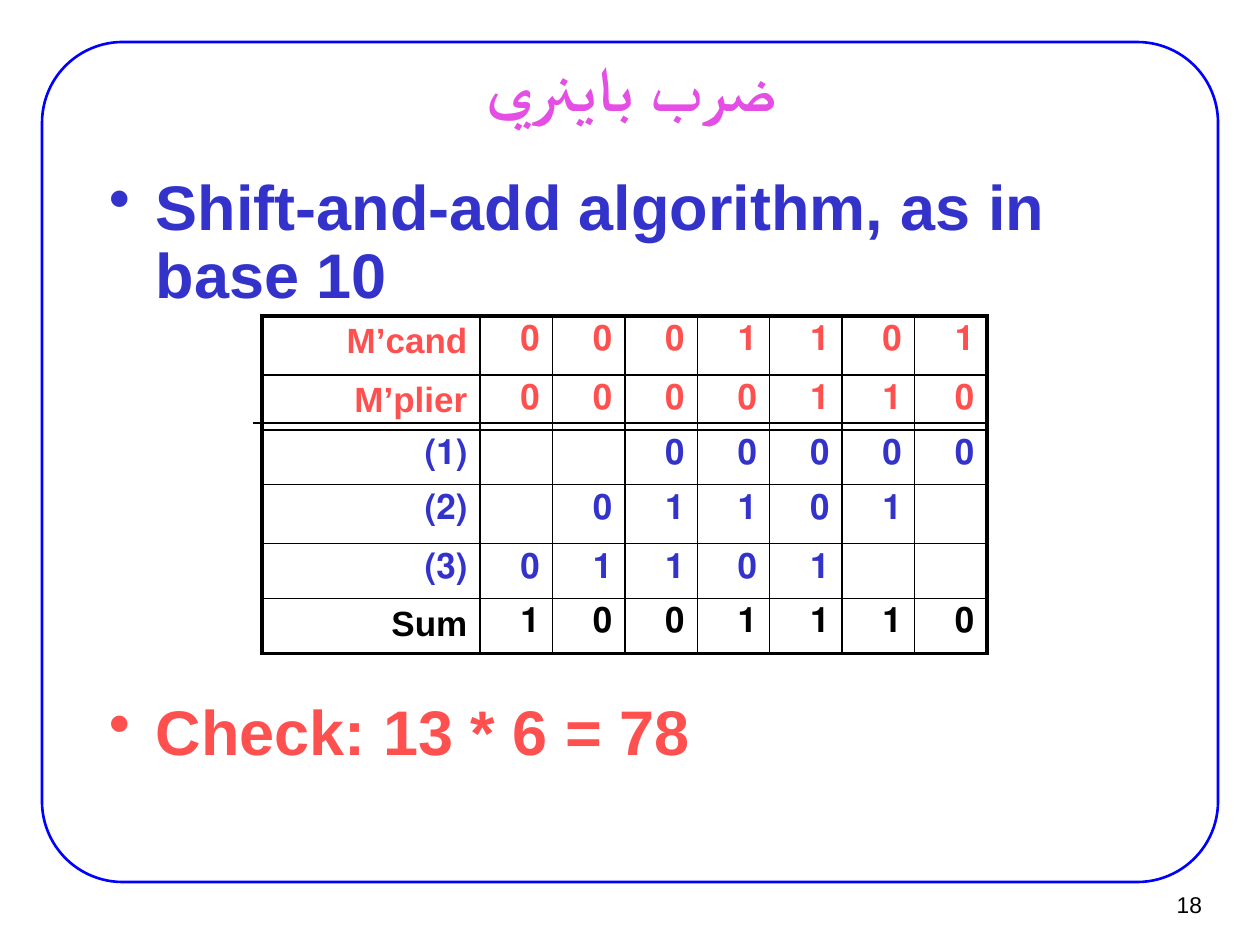
import dataclasses
import pptx
import pptx.dml.color
import pptx.enum.shapes
import pptx.enum.text
import pptx.oxml.ns
import pptx.util
import lxml.etree

SCALE = 914400 / 126
COLORS = {"frame": "0000FF", "title": "E44EE4", "blue": "3333CC",
          "red": "FF5050", "black": "000000"}
ALIGN = pptx.enum.text.PP_ALIGN
ANCHOR = pptx.enum.text.MSO_ANCHOR


@dataclasses.dataclass
class Label:
    text: str
    box: tuple[int, int, int, int]
    size: int
    color: str
    align: ALIGN = ALIGN.LEFT
    anchor: ANCHOR = ANCHOR.TOP
    bold: bool = True
    bullet: bool = False
    wrap: bool = True
    inset: tuple[int, int] = (14, 8)


@dataclasses.dataclass
class Row:
    name: str
    bits: str
    color: str
    height: int


LABELS = [
    Label("18", (1137, 881, 77, 47), 13, "black", ALIGN.RIGHT, ANCHOR.MIDDLE,
          bold=False, wrap=False, inset=(12, 6)),
    Label("ضرب باينري", (96, 55, 1071, 62), 36, "title", ALIGN.CENTER,
          ANCHOR.MIDDLE),
    Label("Shift-and-add algorithm, as in base 10", (95, 168, 1071, 150), 36,
          "blue", bullet=True),
    Label("Check: 13 * 6 = 78", (95, 693, 1071, 82), 36, "red", bullet=True),
]
ROWS = [
    Row("M’cand", "0001101", "red", 59),
    Row("M’plier", "0000110", "red", 55),
    Row("(1)", "  00000", "blue", 54),
    Row("(2)", " 01101 ", "blue", 59),
    Row("(3)", "01101  ", "blue", 55),
    Row("Sum", "1001110", "black", 54),
]
BITS = 7
NAME_W, BIT_W = 218, 507


def px(n: int) -> int:
    return round(n * SCALE)


def rgb(key: str) -> pptx.dml.color.RGBColor:
    return pptx.dml.color.RGBColor.from_string(COLORS[key])


def style(font, size: int, color: str, bold: bool = True) -> None:
    font.name = "Arial"
    font.size = pptx.util.Pt(size)
    font.bold = bold
    font.color.rgb = rgb(color)


def sub(node, tag: str, **attrs: str):
    """Add a child in the DrawingML namespace."""
    return lxml.etree.SubElement(node, pptx.oxml.ns.qn(tag), attrs)


def draw_frame(slide) -> None:
    kind = pptx.enum.shapes.MSO_SHAPE.ROUNDED_RECTANGLE
    frame = slide.shapes.add_shape(kind, px(42), px(42), px(1176), px(840))
    frame.adjustments[0] = 0.096
    frame.shadow.inherit = False
    frame.fill.background()
    frame.line.color.rgb = rgb("frame")
    frame.line.width = pptx.util.Pt(1.5)


def draw_label(slide, label: Label) -> None:
    box = slide.shapes.add_textbox(*map(px, label.box))
    frame = box.text_frame
    frame.word_wrap = label.wrap
    frame.vertical_anchor = label.anchor
    side, edge = map(px, label.inset)
    frame.margin_left = frame.margin_right = side
    frame.margin_top = frame.margin_bottom = edge
    para = frame.paragraphs[0]
    para.text = label.text
    para.alignment = label.align
    style(para.font, label.size, label.color, label.bold)
    if label.bullet:
        para.line_spacing = 0.9
        props = para._p.get_or_add_pPr()
        props.set("marL", str(px(47)))
        props.set("indent", str(px(-47)))
        mark = sub(props, "a:buChar", char="•")
        props.find(pptx.oxml.ns.qn("a:defRPr")).addprevious(mark)


def set_edges(cell, widths: dict[str, float]) -> None:
    """Border a cell, with a width in points for each side."""
    props = cell._tc.get_or_add_tcPr()
    for place, (side, width) in enumerate(widths.items()):
        line = sub(props, f"a:ln{side}", w=str(pptx.util.Pt(width)))
        sub(sub(line, "a:solidFill"), "a:srgbClr", val=COLORS["black"])
        props.insert(place, line)


def draw_table(slide) -> None:
    high = sum(row.height for row in ROWS)
    shape = slide.shapes.add_table(len(ROWS), BITS + 1, px(262), px(316),
                                   px(NAME_W + BIT_W), px(high))
    table = shape.table
    table.first_row = table.horz_banding = False
    for c, col in enumerate(table.columns):
        col.width = px(BIT_W) // BITS if c else px(NAME_W)
    for r, row in enumerate(ROWS):
        table.rows[r].height = px(row.height)
        for c, text in enumerate([row.name, *row.bits]):
            cell = table.cell(r, c)
            cell.fill.background()
            para = cell.text_frame.paragraphs[0]
            para.text = text.strip()
            para.alignment = ALIGN.RIGHT
            para._p.get_or_add_pPr().set("rtl", "1")
            style(para.font, 20, row.color)
            outer = {"L": c == 0, "R": c == BITS,
                     "T": r == 0, "B": r == len(ROWS) - 1}
            set_edges(cell, {s: 2.25 if o else 1 for s, o in outer.items()})


def draw_rule(slide) -> None:
    kind = pptx.enum.shapes.MSO_CONNECTOR.STRAIGHT
    rule = slide.shapes.add_connector(kind, px(253), px(423), px(988), px(423))
    rule.line.color.rgb = rgb("black")
    rule.line.width = pptx.util.Pt(0.75)
    sub(rule._element.spPr, "a:effectLst")


def main() -> None:
    deck = pptx.Presentation()
    deck.slide_width, deck.slide_height = px(1260), px(945)
    slide = deck.slides.add_slide(deck.slide_layouts[6])
    draw_frame(slide)
    for label in LABELS:
        draw_label(slide, label)
    draw_table(slide)
    draw_rule(slide)
    deck.save("out.pptx")


if __name__ == "__main__":
    main()
